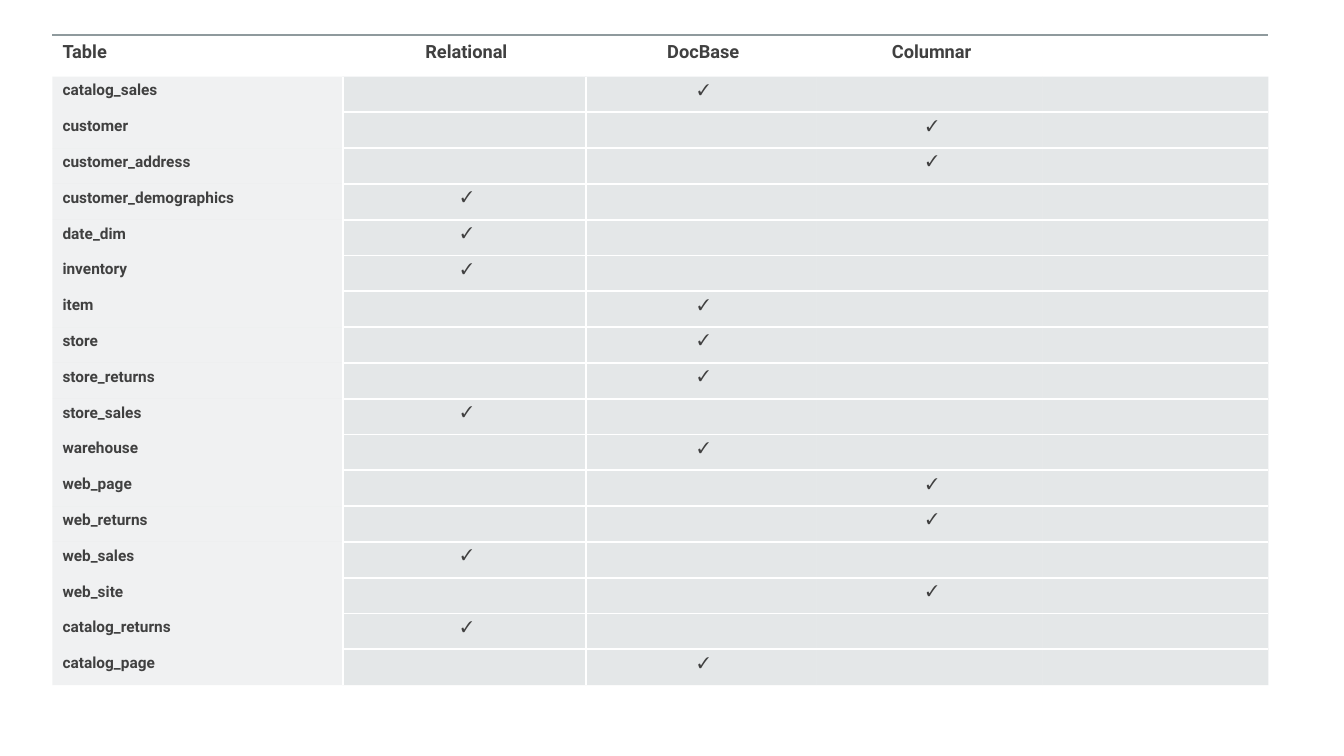
from lxml.etree import SubElement
from pptx import Presentation
from pptx.dml.color import RGBColor
from pptx.enum.text import PP_ALIGN
from pptx.oxml import parse_xml
from pptx.oxml.ns import nsdecls, qn
from pptx.util import Inches, Pt

HEADINGS = ["Table", "Relational", "DocBase", "Columnar", ""]
# Table name and the column holding its check mark
PLACEMENTS = [
    ("catalog_sales", 2),
    ("customer", 3),
    ("customer_address", 3),
    ("customer_demographics", 1),
    ("date_dim", 1),
    ("inventory", 1),
    ("item", 2),
    ("store", 2),
    ("store_returns", 2),
    ("store_sales", 1),
    ("warehouse", 2),
    ("web_page", 3),
    ("web_returns", 3),
    ("web_sales", 1),
    ("web_site", 3),
    ("catalog_returns", 1),
    ("catalog_page", 2),
]
CHECK = "✓"

WHITE = RGBColor(0xFF, 0xFF, 0xFF)
INK = RGBColor(0x40, 0x40, 0x40)
GREY = RGBColor(0xB4, 0xBC, 0xBE)
RULE = RGBColor(0x8F, 0x9A, 0x9D)

LEFT, TOP, HEIGHT = 0.52, 0.35, 6.45
COLUMN_WIDTHS = [2.88, 2.41, 2.29, 2.24, 2.24]
HEADER_HEIGHT = 0.41
ROW_HEIGHT = (HEIGHT - HEADER_HEIGHT) / len(PLACEMENTS)
NO_STYLE = "{2D5ABB26-0587-4C30-8999-92F81FD0307C}"


def set_borders(cell, sides, color=WHITE, opacity=100):
    """Draw the given sides, a string of L, R, T and B in that order."""
    for place, side in enumerate(sides):
        line = parse_xml(
            f'<a:ln{side} {nsdecls("a")} w="{Pt(1.5)}"><a:solidFill>'
            f'<a:srgbClr val="{color}"><a:alpha val="{opacity * 1000}"/></a:srgbClr>'
            f'</a:solidFill><a:prstDash val="solid"/></a:ln{side}>')
        cell._tc.get_or_add_tcPr().insert(place, line)


def set_fill(cell, opacity):
    cell.fill.solid()
    cell.fill.fore_color.rgb = GREY
    color = cell._tc.tcPr.find(".//" + qn("a:srgbClr"))
    SubElement(color, qn("a:alpha"), val=str(opacity * 1000))


def write(cell, text, size, padding, centred, font="Roboto", bold=True):
    cell.margin_left = Inches(0.1)
    cell.margin_top = cell.margin_right = cell.margin_bottom = Inches(padding)
    paragraph = cell.text_frame.paragraphs[0]
    paragraph.alignment = PP_ALIGN.CENTER if centred else PP_ALIGN.LEFT
    paragraph.font.name = font
    paragraph.font.size = Pt(size)
    paragraph.font.bold = bold
    paragraph.font.color.rgb = INK
    if text:
        paragraph.add_run().text = text
    else:  # keeps an empty cell from growing its row
        SubElement(paragraph._p, qn("a:endParaRPr"), sz=str(size * 100))


def main():
    deck = Presentation()
    deck.slide_width, deck.slide_height = Inches(13.33), Inches(7.5)
    slide = deck.slides.add_slide(deck.slide_layouts[6])
    table = slide.shapes.add_table(
        len(PLACEMENTS) + 1, len(HEADINGS), Inches(LEFT), Inches(TOP),
        Inches(sum(COLUMN_WIDTHS)), Inches(HEIGHT)).table
    table.first_row = table.horz_banding = False
    table._tbl.tblPr.find(qn("a:tableStyleId")).text = NO_STYLE
    for column, width in zip(table.columns, COLUMN_WIDTHS):
        column.width = Inches(width)

    table.rows[0].height = Inches(HEADER_HEIGHT)
    for col, heading in enumerate(HEADINGS):
        cell = table.cell(0, col)
        write(cell, heading, 13, 0.06, centred=col > 0)
        cell.fill.background()
        set_borders(cell, "T", RULE, 60)

    last = len(PLACEMENTS)
    for row, (name, checked) in enumerate(PLACEMENTS, 1):
        table.rows[row].height = Inches(ROW_HEIGHT)
        name_cell = table.cell(row, 0)
        write(name_cell, name, 11, 0.05, centred=False)
        set_fill(name_cell, 20)
        set_borders(name_cell, "R")
        row_lines = ("T" if row > 1 else "") + ("B" if row < last else "")
        for col in range(1, len(HEADINGS)):
            cell = table.cell(row, col)
            write(cell, CHECK if col == checked else "", 11, 0.05,
                  centred=True, font="Times New Roman", bold=False)
            set_fill(cell, 35)
            set_borders(cell, ("L" if col == 1 else "") + row_lines)

    deck.save("out.pptx")


if __name__ == "__main__":
    main()
